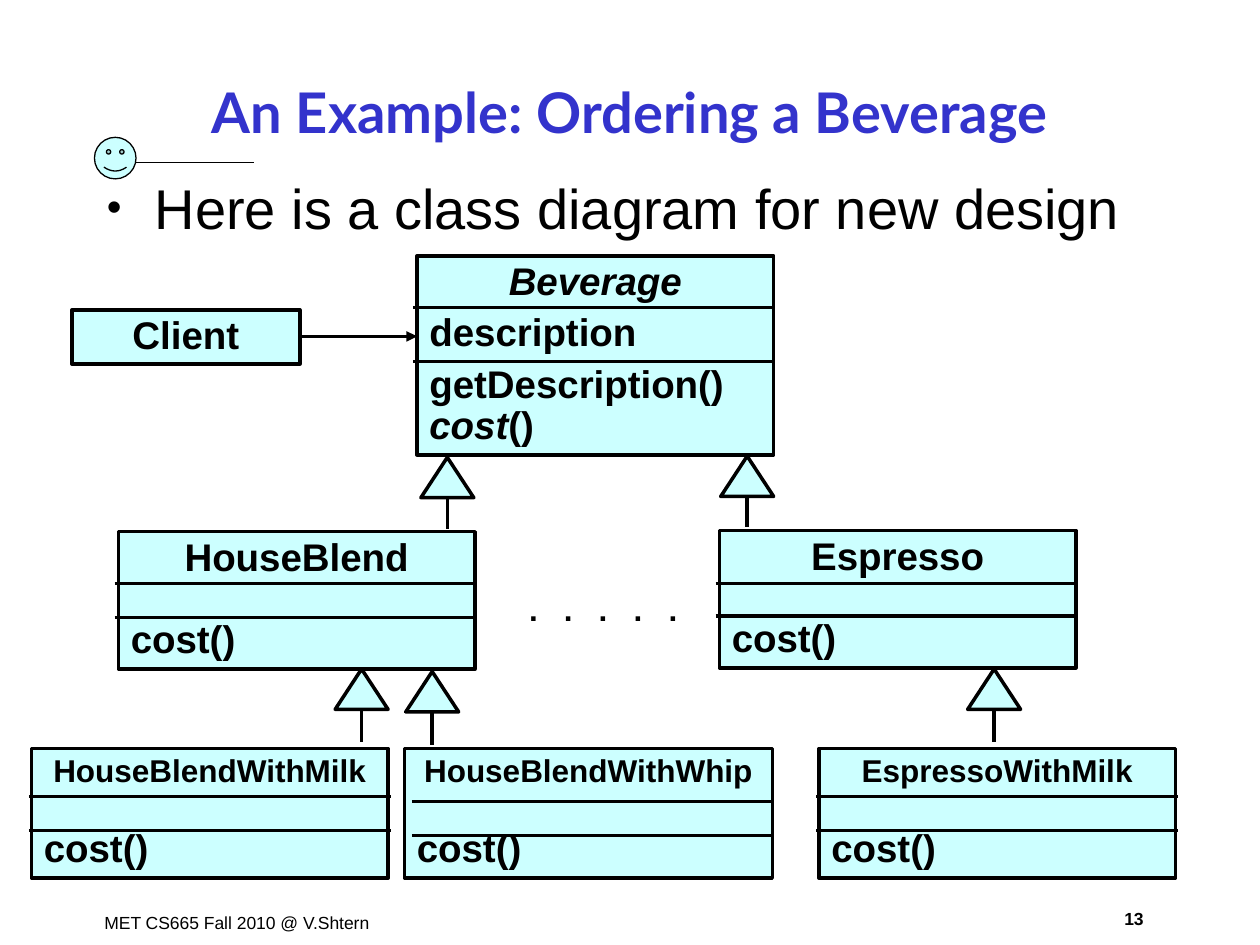
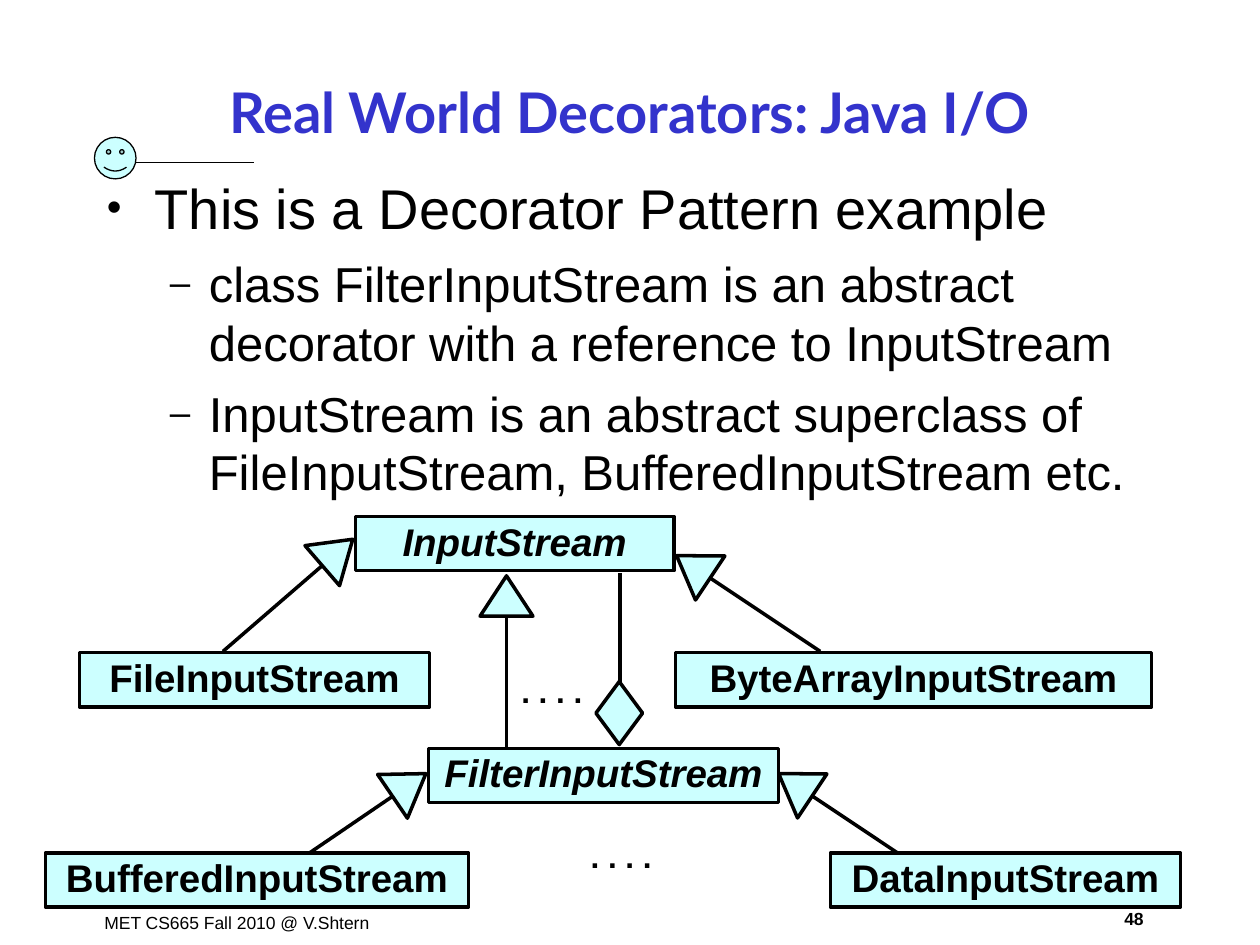
"""Build two slides of class diagrams on the Decorator pattern."""
from math import atan2, cos, degrees, sin

from lxml import etree
from pptx import Presentation
from pptx.dml.color import RGBColor
from pptx.enum.shapes import MSO_CONNECTOR, MSO_SHAPE
from pptx.enum.text import MSO_ANCHOR, PP_ALIGN
from pptx.oxml.ns import qn
from pptx.util import Pt

PX = 9144
BLACK = RGBColor(0, 0, 0)
BLUE = RGBColor(0x33, 0x33, 0xCC)
CYAN = RGBColor(0xCC, 0xFF, 0xFF)
STRAIGHT = MSO_CONNECTOR.STRAIGHT
RECTANGLE, TRIANGLE = MSO_SHAPE.RECTANGLE, MSO_SHAPE.ISOSCELES_TRIANGLE
DIAMOND, SMILEY = MSO_SHAPE.FLOWCHART_DECISION, MSO_SHAPE.SMILEY_FACE
LEFT, CENTER = PP_ALIGN.LEFT, PP_ALIGN.CENTER
TOP, MIDDLE = MSO_ANCHOR.TOP, MSO_ANCHOR.MIDDLE

FOOTER = "MET CS665 Fall 2010 @ V.Shtern"
HEAD_WIDTH, HEAD_HEIGHT = 42, 32
DIVIDER_LENGTH = 287
BULLETS = [
    {"char": "•", "size": 32, "before": 8, "margin": 38, "hang": 38},
    {"char": "–", "size": 28, "before": 7, "margin": 81, "hang": 31},
]
TITLE_STYLE = {"size": 32, "font": "Lato", "color": BLUE, "bold": True, "align": CENTER}
FOOTER_STYLE = {"size": 10, "before": 6.2}
NUMBER_STYLE = {"size": 10, "before": 6.2, "bold": True, "align": CENTER}
NAME_STYLE = {"size": 22, "bold": True, "align": CENTER, "spacing": 0.9}
MEMBER_STYLE = {**NAME_STYLE, "align": LEFT}
DOTS_STYLE = {"size": 18, "bold": True, "before": 11.2, "spacing": 0.9}

COST_ONLY = [("cost()", {"before": 23})]
BEVERAGE_MEMBERS = [
    ("description", {"before": 5.5}),
    ("getDescription()", {"before": 5.5}),
    ([("cost", True), ("()", False)], {}),
]

SLIDES = [
    {
        "title": "An Example: Ordering a Beverage",
        "number": "13",
        "body": [(0, "Here is a class diagram for new design")],
        "classes": [
            {"name": "Beverage", "at": (331, 203, 283, 158), "abstract": True,
             "members": BEVERAGE_MEMBERS, "dividers": (328, 244, 287)},
            {"name": "HouseBlend", "at": (94, 422, 283, 109),
             "members": COST_ONLY, "dividers": (91, 463, 490)},
            {"name": "Espresso", "at": (571, 421, 283, 109),
             "members": COST_ONLY, "dividers": (568, 463, 489)},
            {"name": "HouseBlendWithMilk", "at": (25, 594, 283, 103), "size": 18,
             "members": COST_ONLY, "dividers": (23, 632, 659)},
            {"name": "HouseBlendWithWhip", "at": (321, 594, 292, 103), "size": 18,
             "members": COST_ONLY, "dividers": (327, 636, 663)},
            {"name": "EspressoWithMilk", "at": (650, 594, 283, 103), "size": 18,
             "members": COST_ONLY, "dividers": (648, 632, 659)},
            {"name": "Client", "at": (57, 246, 181, 43)},
        ],
        "inheritance": [
            ((355, 363), (355, 420)),
            ((593, 362), (593, 418)),
            ((287, 531), (287, 589)),
            ((343, 533), (343, 591)),
            ((789, 531), (789, 589)),
        ],
        "uses": [((238, 267), (331, 267))],
        "aggregation": [],
        "dots": [(". . . . .", (410, 467, 172, 37), {"tracking": 500})],
    },
    {
        "title": "Real World Decorators: Java I/O",
        "number": "48",
        "body": [
            (0, "This is a Decorator Pattern example"),
            (1, "class FilterInputStream is an abstract decorator with a reference to InputStream"),
            (1, "InputStream is an abstract superclass of FileInputStream, BufferedInputStream etc."),
        ],
        "classes": [
            {"name": "InputStream", "at": (282, 410, 253, 43), "abstract": True},
            {"name": "FileInputStream", "at": (63, 518, 278, 43)},
            {"name": "ByteArrayInputStream", "at": (536, 518, 378, 43)},
            {"name": "FilterInputStream", "at": (340, 594, 278, 43), "abstract": True},
            {"name": "BufferedInputStream", "at": (36, 677, 336, 43)},
            {"name": "DataInputStream", "at": (659, 677, 278, 43)},
        ],
        "inheritance": [
            ((280, 428), (177, 517)),
            ((537, 441), (651, 517)),
            ((402, 457), (402, 593)),
            ((338, 614), (225, 691)),
            ((618, 614), (732, 690)),
        ],
        "uses": [],
        "aggregation": [((492, 455), (473, 541, 37, 50))],
        "dots": [
            (". . . .", (387, 532, 102, 37), {"align": CENTER}),
            (". . . .", (442, 663, 102, 37), {"align": CENTER}),
        ],
    },
]


def emu(lengths):
    return [round(length * PX) for length in lengths]


def write(paragraph, content, size, font="Arial", color=BLACK, bold=False,
          italic=False, align=LEFT, before=0, spacing=1.0, tracking=None):
    layout = {"alignment": align, "space_before": Pt(before), "line_spacing": spacing}
    for attribute, value in layout.items():
        setattr(paragraph, attribute, value)
    pieces = [(content, italic)] if isinstance(content, str) else content
    for words, slanted in pieces:
        run = paragraph.add_run()
        run.text = words
        look = {"size": Pt(size), "name": font, "bold": bold, "italic": slanted}
        for attribute, value in look.items():
            setattr(run.font, attribute, value)
        run.font.color.rgb = color
        if tracking:
            run.font._element.set("spc", str(tracking))


def fill_frame(frame, paragraphs, anchor):
    frame.word_wrap = True
    frame.vertical_anchor = anchor
    for index, (content, style) in enumerate(paragraphs):
        paragraph = frame.add_paragraph() if index else frame.paragraphs[0]
        write(paragraph, content, **style)
    return frame.paragraphs


def add_text(slide, at, paragraphs, anchor=TOP):
    return fill_frame(slide.shapes.add_textbox(*emu(at)).text_frame, paragraphs, anchor)


def add_figure(slide, preset, at, weight=2):
    figure = slide.shapes.add_shape(preset, *emu(at))
    figure.shadow.inherit = False
    figure.fill.solid()
    figure.fill.fore_color.rgb = CYAN
    figure.line.color.rgb = BLACK
    figure.line.width = Pt(weight)
    return figure


def add_line(slide, start, end, weight=2, arrow=False):
    line = slide.shapes.add_connector(STRAIGHT, *emu((*start, *end)))
    line.line.color.rgb = BLACK
    line.line.width = Pt(weight)
    if arrow:
        etree.SubElement(line.line._get_or_add_ln(), qn("a:tailEnd"), type="triangle")
    etree.SubElement(line._element.spPr, qn("a:effectLst"))


def add_bullet(paragraph, level):
    bullet = BULLETS[level]
    paragraph.level = level
    properties = paragraph._p.get_or_add_pPr()
    properties.set("marL", str(bullet["margin"] * PX))
    properties.set("indent", str(-bullet["hang"] * PX))
    color = etree.SubElement(properties, qn("a:buClr"))
    etree.SubElement(color, qn("a:srgbClr"), val=str(BLACK))
    etree.SubElement(properties, qn("a:buSzPct"), val="75000")
    etree.SubElement(properties, qn("a:buFont"), typeface="Arial")
    etree.SubElement(properties, qn("a:buChar"), char=bullet["char"])


def add_frame(slide, title, number):
    add_text(slide, (73, 719, 241, 27), [(FOOTER, FOOTER_STYLE)])
    add_text(slide, (873, 716, 54, 27), [(number, NUMBER_STYLE)])
    add_figure(slide, SMILEY, (75, 109, 33, 33), 0.75).adjustments[0] = 0.0465
    add_line(slide, (108, 129), (202, 129), 1)
    add_text(slide, (75, 48, 850, 80), [(title, TITLE_STYLE)], MIDDLE)


def add_body(slide, body):
    paragraphs = [(words, {key: BULLETS[level][key] for key in ("size", "before")})
                  for level, words in body]
    written = add_text(slide, (75, 133, 850, 576), paragraphs)
    for paragraph, (level, _) in zip(written, body):
        add_bullet(paragraph, level)


def add_inheritance(slide, tip, foot):
    angle = atan2(tip[0] - foot[0], foot[1] - tip[1])
    across, down = -sin(angle) * HEAD_HEIGHT, cos(angle) * HEAD_HEIGHT
    base = tip[0] + across, tip[1] + down
    corner = (tip[0] + across / 2 - HEAD_WIDTH / 2, tip[1] + down / 2 - HEAD_HEIGHT / 2)
    add_figure(slide, TRIANGLE, (*corner, HEAD_WIDTH, HEAD_HEIGHT)).rotation = degrees(angle)
    add_line(slide, base, foot)


def add_class(slide, name, at, abstract=False, size=22, members=(), dividers=(0,)):
    heading = (name, {**NAME_STYLE, "size": size, "italic": abstract})
    rows = [(content, {**MEMBER_STYLE, **style}) for content, style in members]
    box = add_figure(slide, RECTANGLE, at)
    fill_frame(box.text_frame, [heading, *rows], MIDDLE)
    left, *heights = dividers
    for height in heights:
        add_line(slide, (left, height), (left + DIVIDER_LENGTH, height))


def build_slide(deck, content):
    slide = deck.slides.add_slide(deck.slide_layouts[6])
    add_frame(slide, content["title"], content["number"])
    add_body(slide, content["body"])
    for tip, foot in content["inheritance"]:
        add_inheritance(slide, tip, foot)
    for start, end in content["uses"]:
        add_line(slide, start, end, arrow=True)
    for part, diamond in content["aggregation"]:
        add_line(slide, (part[0], diamond[1]), part)
        add_figure(slide, DIAMOND, diamond)
    for entry in content["classes"]:
        add_class(slide, **entry)
    for dots, at, style in content["dots"]:
        add_text(slide, at, [(dots, {**DOTS_STYLE, **style})])


def main():
    deck = Presentation()
    deck.slide_width, deck.slide_height = emu((1000, 750))
    for content in SLIDES:
        build_slide(deck, content)
    deck.save("out.pptx")


if __name__ == "__main__":
    main()
